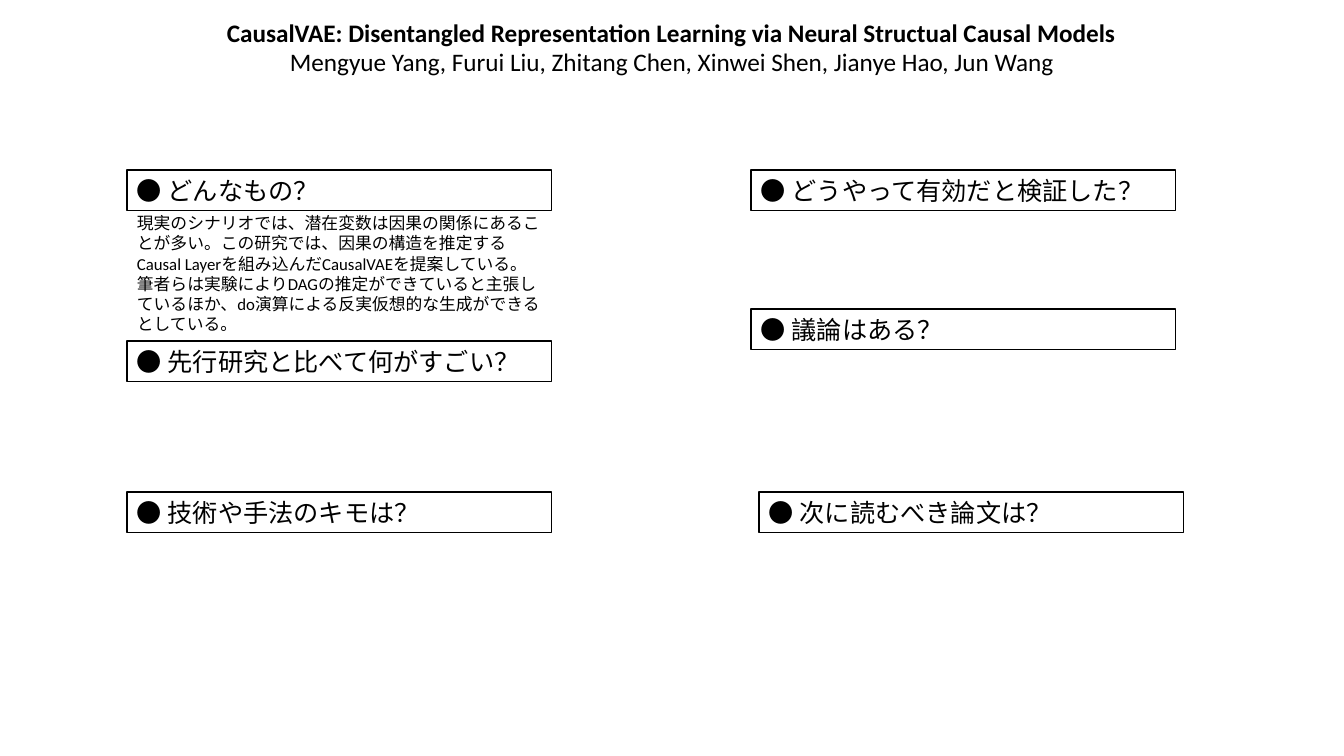
import pptx
import pptx.dml.color
import pptx.enum.shapes
import pptx.enum.text
import pptx.util

TITLE = "CausalVAE: Disentangled Representation Learning via Neural Structual Causal Models"
AUTHORS = "Mengyue Yang, Furui Liu, Zhitang Chen, Xinwei Shen, Jianye Hao, Jun Wang"
SUMMARY = (
    "現実のシナリオでは、潜在変数は因果の関係にあることが多い。"
    "この研究では、因果の構造を推定するCausal Layerを組み込んだCausalVAEを提案している。"
    "筆者らは実験によりDAGの推定ができていると主張しているほか、"
    "do演算による反実仮想的な生成ができるとしている。"
)
LEFT, RIGHT = 127, 751
HEADINGS = [
    ("どんなもの？", LEFT, 170),
    ("先行研究と比べて何がすごい？", LEFT, 341),
    ("技術や手法のキモは？", LEFT, 492),
    ("どうやって有効だと検証した？", RIGHT, 170),
    ("議論はある？", RIGHT, 309),
    ("次に読むべき論文は？", RIGHT + 8, 492),
]
HEADING_W, HEADING_H = 425, 41
PX = 914400 / 100.8
ALIGN = pptx.enum.text.PP_ALIGN


def px(n):
    return pptx.util.Emu(round(n * PX))


def color(value):
    return pptx.dml.color.RGBColor.from_string(value)


def write(sp, text, size=18, align=ALIGN.LEFT, bold=False):
    tf = sp.text_frame
    tf.word_wrap = True
    tf.vertical_anchor = pptx.enum.text.MSO_ANCHOR.TOP
    p = tf.paragraphs[0]
    p.text = text
    p.alignment = align
    p.font.name = "Calibri"
    p.font.size = pptx.util.Pt(size)
    p.font.bold = bold
    p.font.color.rgb = color("000000")


def add_text(box, text, **style):
    write(s.shapes.add_textbox(*map(px, box)), text, **style)


def add_heading(text, x, y):
    rect = pptx.enum.shapes.MSO_SHAPE.RECTANGLE
    sp = s.shapes.add_shape(rect, *map(px, (x, y, HEADING_W, HEADING_H)))
    sp.shadow.inherit = False
    sp.fill.background()
    sp.line.color.rgb = color("000000")
    sp.line.width = pptx.util.Pt(0.75)
    write(sp, "● " + text)


prs = pptx.Presentation()
prs.slide_width, prs.slide_height = px(1344), px(756)
s = prs.slides.add_slide(prs.slide_layouts[6])

add_text((24, 12, 1295, 41), TITLE, align=ALIGN.CENTER, bold=True)
for heading in HEADINGS:
    add_heading(*heading)
add_text((237, 41, 870, 71), AUTHORS, align=ALIGN.CENTER)
add_text((LEFT, 208, HEADING_W, 132), SUMMARY, size=12)

prs.save("out.pptx")
